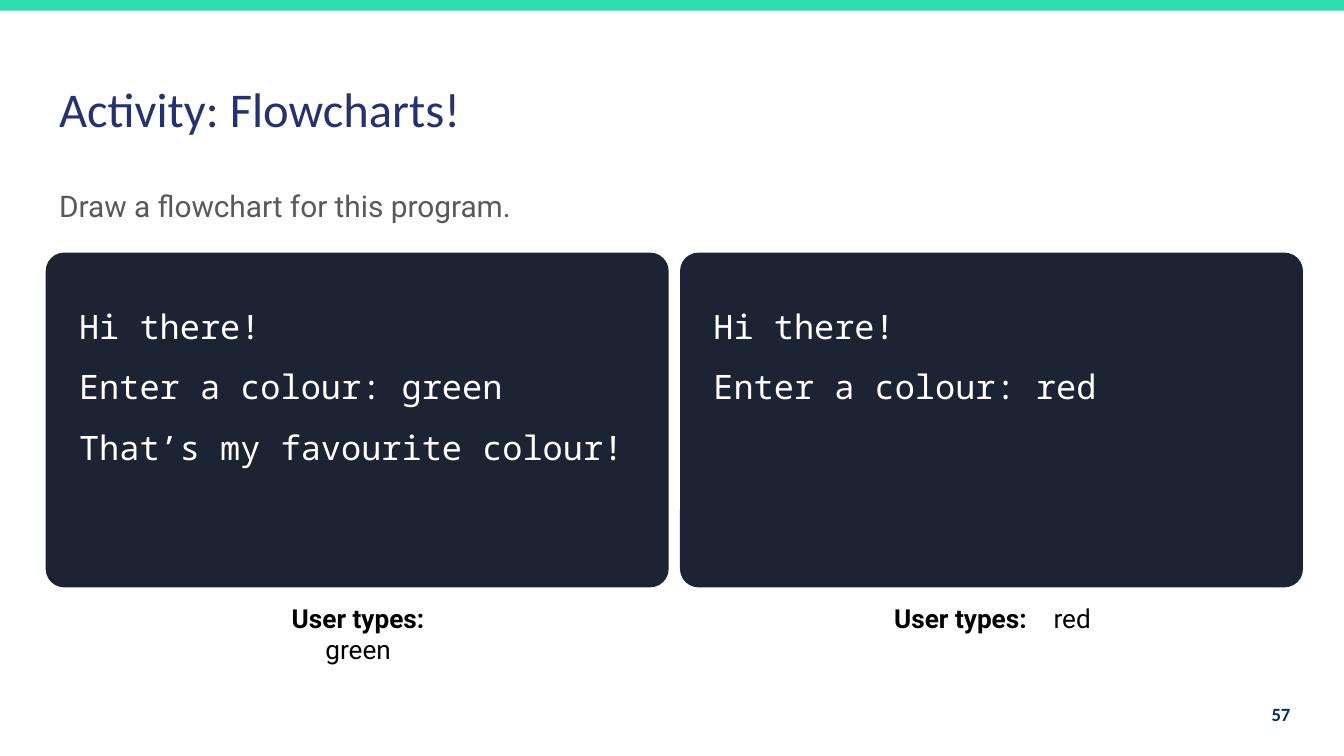
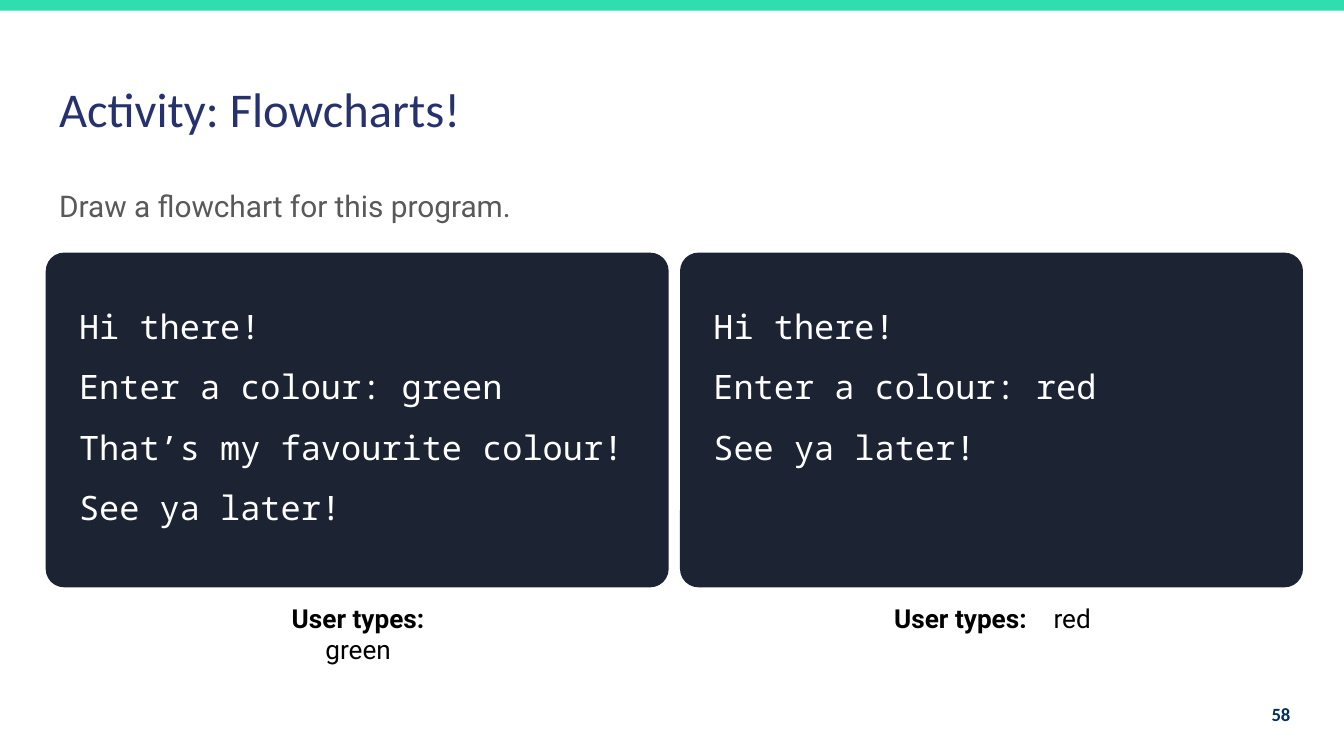
import pptx
import pptx.util
import pptx.dml.color
import pptx.enum.shapes
import pptx.enum.text
import pptx.oxml.ns
import lxml.etree

RGBColor = pptx.dml.color.RGBColor
PP_ALIGN = pptx.enum.text.PP_ALIGN
MSO_ANCHOR = pptx.enum.text.MSO_ANCHOR
MSO_AUTO_SIZE = pptx.enum.text.MSO_AUTO_SIZE
MSO_SHAPE = pptx.enum.shapes.MSO_SHAPE

WHITE = RGBColor(0xFF, 0xFF, 0xFF)
BLACK = RGBColor(0x00, 0x00, 0x00)
TEAL = RGBColor(0x30, 0xDD, 0xAE)
NIGHT = RGBColor(0x1C, 0x23, 0x33)
INDIGO = RGBColor(0x25, 0x32, 0x6F)
NAVY = RGBColor(0x03, 0x2F, 0x62)
GREY = RGBColor(0x59, 0x59, 0x59)

HEADING = "Calibri"
BODY = "Roboto"
MONO = "Noto Sans Mono"

PX = 4572
INSET = 20
LEFT = 68
PANEL_STEP = 944

SLIDES = [
    (57, 98, [
        ("green", ["Hi there!", "Enter a colour: green", "That’s my favourite colour!"]),
        ("red", ["Hi there!", "Enter a colour: red"]),
    ]),
    (58, 126, [
        ("green", ["Hi there!", "Enter a colour: green", "That’s my favourite colour!", "See ya later!"]),
        ("red", ["Hi there!", "Enter a colour: red", "See ya later!"]),
    ]),
]


def px(*lengths):
    return [pptx.util.Emu(n * PX) for n in lengths]


class Deck:
    def __init__(self, width, height):
        self.prs = pptx.Presentation()
        self.prs.slide_width, self.prs.slide_height = px(width, height)
        self.s = None

    def new_slide(self):
        self.s = self.prs.slides.add_slide(self.prs.slide_layouts[1])

    def frame(self, sp, anchor=MSO_ANCHOR.TOP, fit=MSO_AUTO_SIZE.NONE):
        tf = sp.text_frame
        tf.word_wrap = True
        tf.auto_size = fit
        tf.vertical_anchor = anchor
        tf.margin_left, tf.margin_top, tf.margin_right, tf.margin_bottom = px(*[INSET] * 4)
        return tf

    def run(self, p, text, font, size, color, bold=False):
        r = p.add_run()
        r.text = text
        r.font.name = font
        r.font.size = pptx.util.Pt(size)
        r.font.color.rgb = color
        r.font.bold = bold
        return r

    def text_box(self, box, **options):
        return self.frame(self.s.shapes.add_textbox(*px(*box)), **options)

    def shape(self, kind, box, color):
        sp = self.s.shapes.add_shape(kind, *px(*box))
        sp.shadow.inherit = False
        sp.fill.solid()
        sp.fill.fore_color.rgb = color
        sp.line.fill.background()
        return sp

    def master_band(self):
        sp = self.shape(MSO_SHAPE.RECTANGLE, (-2, 0, 2004, 16), TEAL)
        self.prs.slide_master.shapes.element.append(sp.element)

    def placeholder(self, sp, box):
        sp.left, sp.top, sp.width, sp.height = px(*box)
        p = self.frame(sp).paragraphs[0]
        p.alignment = PP_ALIGN.LEFT
        return p

    def title(self, text):
        p = self.placeholder(self.s.shapes.title, (LEFT, 98, 990, 126))
        self.run(p, text, HEADING, 26, INDIGO)

    def body(self, text, height):
        p = self.placeholder(self.s.placeholders[1], (LEFT, 252, 1292, height))
        pPr = p._p.get_or_add_pPr()
        pPr.set("marL", "0")
        pPr.set("indent", "0")
        lxml.etree.SubElement(pPr, pptx.oxml.ns.qn("a:buNone"))
        p.line_spacing = 1.15
        p.space_before = pptx.util.Pt(0)
        p.space_after = pptx.util.Pt(16)
        self.run(p, text, BODY, 16, GREY)

    def console(self, x, lines):
        panel = self.shape(MSO_SHAPE.ROUNDED_RECTANGLE, (x, 376, 927, 498), NIGHT)
        panel.adjustments[0] = 0.055
        tf = self.text_box((x + 30, 405, 860, 396))
        for i, line in enumerate(lines):
            p = tf.add_paragraph() if i else tf.paragraphs[0]
            p.line_spacing = 1.5
            self.run(p, line, MONO, 18, WHITE)

    def caption(self, x, answer):
        tf = self.text_box((x + 278, 876, 374, 88), fit=MSO_AUTO_SIZE.SHAPE_TO_FIT_TEXT)
        p = tf.paragraphs[0]
        p.alignment = PP_ALIGN.CENTER
        self.run(p, "User types:", BODY, 14, BLACK, bold=True)
        gap = self.run(p, " ", BODY, 14, BLACK, bold=True)
        gap.font._element.set("spc", "1080")
        self.run(p, answer, BODY, 14, BLACK)

    def page_number(self, number):
        p = self.text_box((1820, 1020, 120, 86), anchor=MSO_ANCHOR.MIDDLE).paragraphs[0]
        p.alignment = PP_ALIGN.RIGHT
        self.run(p, str(number), HEADING, 10, NAVY, bold=True)


def main():
    deck = Deck(2000, 1125)
    for i, (number, body_height, examples) in enumerate(SLIDES):
        deck.new_slide()
        if i == 0:
            deck.master_band()
        deck.title("Activity: Flowcharts!")
        deck.body("Draw a flowchart for this program.", body_height)
        for column, (answer, lines) in enumerate(examples):
            x = LEFT + column * PANEL_STEP
            deck.console(x, lines)
            deck.caption(x, answer)
        deck.page_number(number)
    deck.prs.save("out.pptx")


if __name__ == "__main__":
    main()
